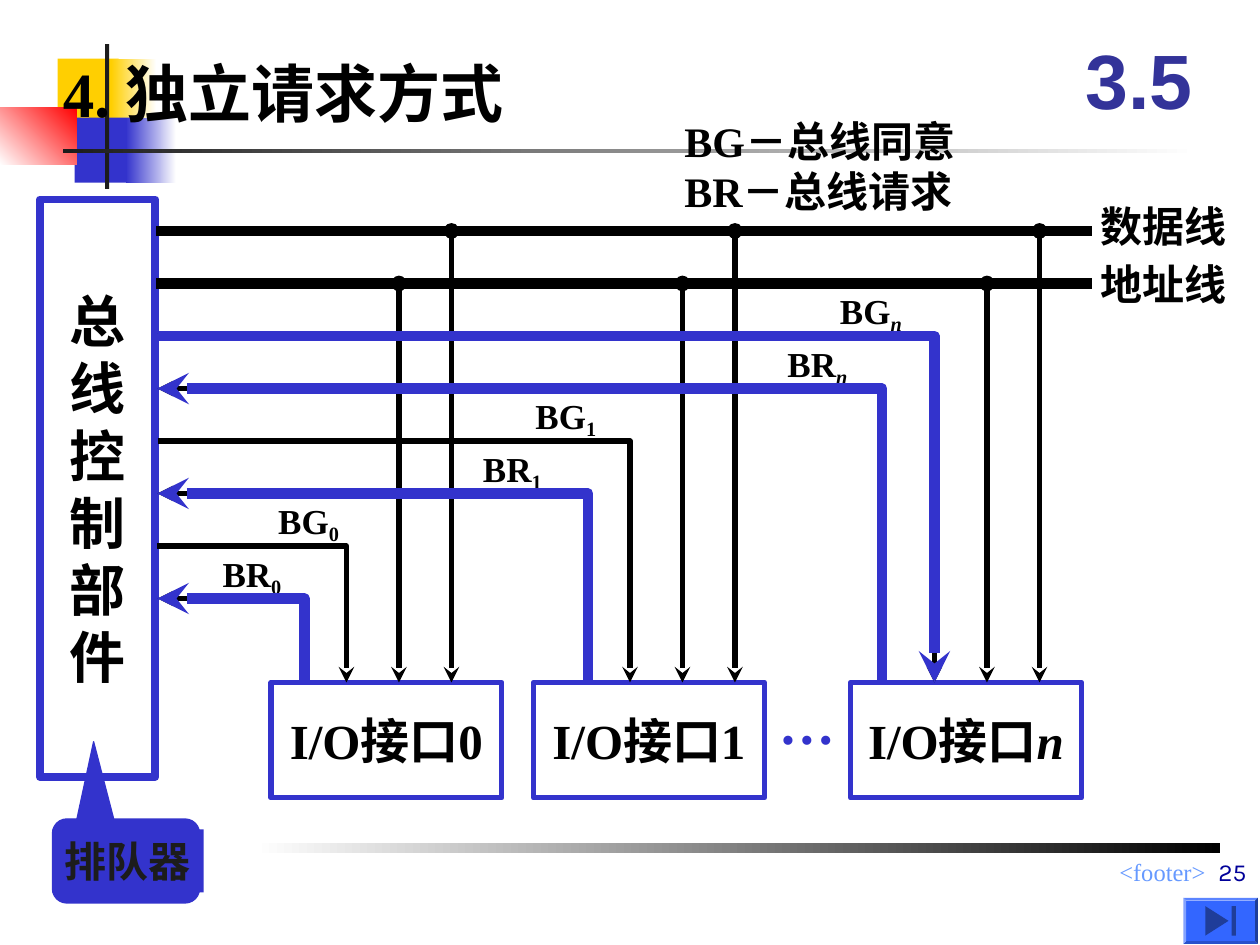
"""Build the slide on independent-request bus arbitration."""
from dataclasses import dataclass
from typing import Optional

import pptx
import pptx.dml.color
import pptx.enum.shapes
import pptx.enum.text
import pptx.oxml.ns
import pptx.util
from lxml import etree

EMU_PER_PX = 7620
COLOURS = {
    "black": "000000", "white": "FFFFFF", "ink": "1C1C1C", "blue": "3333CC",
    "yellow": "FFCF01", "red": "FF0000", "section": "333399", "footer": "6699FF",
    "number": "000099", "button": "3366FF", "icon": "1F3D99",
}
KIND = pptx.enum.shapes.MSO_SHAPE
ALIGN = pptx.enum.text.PP_ALIGN
ANCHOR = pptx.enum.text.MSO_ANCHOR
SERIF = {"name": "Times New Roman", "bold": True}
INSET = {"margin_left": 12, "margin_right": 12, "margin_top": 6, "margin_bottom": 6}
FLUSH = dict.fromkeys(INSET, 0)
ROW_GAP = COLUMN_GAP = 50
DATA_Y, ADDRESS_Y = 220, 270
CONTROL_EDGE, BUS_END, INTERFACE_TOP = 150, 1040, 650


@dataclass(frozen=True)
class Box:
    left: int
    top: int
    width: int
    height: int


@dataclass(frozen=True)
class Panel:
    box: Box
    fill: Optional[str] = None
    fade: Optional[str] = None
    angle: int = 180
    line: Optional[str] = None
    weight: float = 0.75
    kind: int = KIND.RECTANGLE
    adjustments: tuple = ()


@dataclass(frozen=True)
class Caption:
    box: Box
    lines: tuple
    size: int
    colour: str = "black"
    font: str = "Times New Roman"
    bold: bool = True
    align: int = ALIGN.LEFT
    anchor: int = ANCHOR.TOP
    wrap: bool = True


@dataclass(frozen=True)
class Interface:
    index: str
    left: int
    request_x: int
    grant_x: int
    grant_y: int
    request_label_x: int
    grant_label_x: int


DECORATION = (
    Panel(Box(55, 56, 58, 62), "yellow"),
    Panel(Box(106, 56, 43, 62), "white", "yellow"),
    Panel(Box(71, 112, 55, 62), "blue"),
    Panel(Box(120, 112, 48, 62), "white", "blue"),
    Panel(Box(0, 102, 73, 55), "red", "white", angle=225),
    Panel(Box(100, 42, 4, 138), "ink"),
    Panel(Box(60, 142, 1080, 4), "white", "ink"),
    Panel(Box(242, 803, 920, 9), "black", "white"),
    Panel(Box(50, 780, 140, 80), "blue", line="blue",
          kind=KIND.ROUNDED_RECTANGULAR_CALLOUT, adjustments=(-0.22, -1.42, 0.17)),
    Panel(Box(50, 790, 144, 60), "blue"),
    Panel(Box(1127, 855, 71, 44), "button", kind=KIND.BEVEL, adjustments=(0.06,)),
    Panel(Box(1173, 863, 4, 28), "icon"),
)
CAPTIONS = (
    Caption(Box(470, 810, 690, 31), ("<footer>",), 14, "footer", bold=False, align=ALIGN.RIGHT),
    Caption(Box(625, 790, 574, 60), ("25",), 14, "number", "Karla", False,
            ALIGN.RIGHT, ANCHOR.BOTTOM),
    Caption(Box(50, 790, 144, 60), ("排队器",), 24, "ink", wrap=False),
    Caption(Box(48, 46, 552, 84), ("4. 独立请求方式",), 36),
    Caption(Box(1010, 20, 150, 110), ("3.5",), 44, "section", "Arial",
            align=ALIGN.CENTER, anchor=ANCHOR.MIDDLE),
    Caption(Box(1036, 185, 144, 60), ("数据线",), 24, wrap=False),
    Caption(Box(1036, 240, 144, 60), ("地址线",), 24, wrap=False),
    Caption(Box(730, 650, 77, 77), ("…",), 32, "blue", wrap=False),
    Caption(Box(640, 104, 310, 110), ("BG－总线同意", "BR－总线请求"), 24),
)
CONTROL = Caption(Box(38, 190, 110, 550), tuple("总线控制部件"), 32,
                  align=ALIGN.CENTER, anchor=ANCHOR.MIDDLE, wrap=False)
INTERFACES = (
    Interface("0", 258, 290, 330, 520, 212, 265),
    Interface("1", 508, 560, 600, 420, 460, 510),
    Interface("n", 810, 840, 890, 320, 750, 800),
)


def px(length: int) -> int:
    return pptx.util.Emu(length * EMU_PER_PX)


def rgb(colour: str):
    return pptx.dml.color.RGBColor.from_string(COLOURS[colour])


def place(box: Box) -> tuple:
    return px(box.left), px(box.top), px(box.width), px(box.height)


def apply(target, values: dict) -> None:
    for name, value in values.items():
        setattr(target, name, value)


def stroke(shape, colour: str, weight: float, **ends: str) -> None:
    shape.line.color.rgb = rgb(colour)
    shape.line.width = pptx.util.Pt(weight)
    outline = shape.line._get_or_add_ln()
    for end in ("headEnd", "tailEnd"):
        if end in ends:
            etree.SubElement(outline, pptx.oxml.ns.qn(f"a:{end}"), type=ends[end])


def draw_panel(slide, panel: Panel):
    shape = slide.shapes.add_shape(panel.kind, *place(panel.box))
    shape.shadow.inherit = False
    for position, value in enumerate(panel.adjustments):
        shape.adjustments[position] = value
    if panel.fade:
        shape.fill.gradient()
        shape.fill.gradient_angle = panel.angle
        for stop, colour in zip(shape.fill.gradient_stops, (panel.fill, panel.fade)):
            stop.color.rgb = rgb(colour)
    elif panel.fill:
        shape.fill.solid()
        shape.fill.fore_color.rgb = rgb(panel.fill)
    else:
        shape.fill.background()
    if panel.line:
        stroke(shape, panel.line, panel.weight)
    else:
        shape.line.fill.background()
    return shape


def add_run(paragraph, text: str, size: int, colour: str, **style):
    run = paragraph.add_run()
    run.text = text
    apply(run.font, {**SERIF, **style, "size": pptx.util.Pt(size)})
    run.font.color.rgb = rgb(colour)
    return run


def write(shape, caption: Caption) -> None:
    frame = shape.text_frame
    apply(frame, {name: px(value) for name, value in INSET.items()})
    apply(frame, {"word_wrap": caption.wrap, "vertical_anchor": caption.anchor})
    for position, line in enumerate(caption.lines):
        paragraph = frame.add_paragraph() if position else frame.paragraphs[0]
        paragraph.alignment = caption.align
        add_run(paragraph, line, caption.size, caption.colour,
                name=caption.font, bold=caption.bold)


def draw_line(slide, start: tuple, end: tuple, weight: float, **ends: str) -> None:
    line = slide.shapes.add_connector(pptx.enum.shapes.MSO_CONNECTOR.STRAIGHT,
                                      *map(px, start + end))
    stroke(line, "black", weight, **ends)
    etree.SubElement(line._element.spPr, pptx.oxml.ns.qn("a:effectLst"))


def draw_route(slide, x: int, y: int, colour: str, weight: float, arrow: str) -> None:
    builder = slide.shapes.build_freeform(CONTROL_EDGE, y, scale=EMU_PER_PX)
    builder.add_line_segments([(x, y), (x, INTERFACE_TOP)], close=False)
    route = builder.convert_to_shape()
    route.shadow.inherit = False
    route.fill.background()
    stroke(route, colour, weight, **{arrow: "stealth"})


def draw_signal(slide, prefix: str, index: str, left: int, route_y: int) -> None:
    frame = slide.shapes.add_textbox(*place(Box(left, route_y - 44, 110, 44))).text_frame
    apply(frame, {**FLUSH, "word_wrap": True})
    add_run(frame.paragraphs[0], prefix, 20, "black")
    subscript = add_run(frame.paragraphs[0], index, 20, "black", italic=index == "n")
    subscript._r.get_or_add_rPr().set("baseline", "-20000")


def draw_interface(slide, unit: Interface) -> None:
    request_y = unit.grant_y + ROW_GAP
    box = Box(unit.left, INTERFACE_TOP, 220, 110)
    frame = draw_panel(slide, Panel(box, line="blue", weight=3))
    write(frame, Caption(box, ("I/O接口",), 28, align=ALIGN.CENTER,
                         anchor=ANCHOR.MIDDLE, wrap=False))
    add_run(frame.text_frame.paragraphs[0], unit.index, 28, "black", italic=unit.index == "n")
    draw_route(slide, unit.request_x, request_y, "black", 3, "headEnd")
    draw_route(slide, unit.grant_x, unit.grant_y, "black", 3, "tailEnd")
    draw_signal(slide, "BR", unit.index, unit.request_label_x, request_y)
    draw_signal(slide, "BG", unit.index, unit.grant_label_x, unit.grant_y)
    for column, bus_y in enumerate((ADDRESS_Y, DATA_Y), start=1):
        x = unit.grant_x + column * COLUMN_GAP
        draw_line(slide, (x, bus_y), (x, INTERFACE_TOP), 3, headEnd="oval", tailEnd="stealth")


def main() -> None:
    deck = pptx.Presentation()
    apply(deck, {"slide_width": px(1200), "slide_height": px(900)})
    slide = deck.slides.add_slide(deck.slide_layouts[6])
    for panel in DECORATION:
        draw_panel(slide, panel)
    play = draw_panel(slide, Panel(Box(1145, 866, 28, 22), "icon", kind=KIND.ISOSCELES_TRIANGLE))
    play.rotation = 90
    write(draw_panel(slide, Panel(CONTROL.box, line="blue", weight=4.5)), CONTROL)
    for bus_y in (DATA_Y, ADDRESS_Y):
        draw_line(slide, (149, bus_y), (BUS_END, bus_y), 6)
    for unit in INTERFACES:
        draw_interface(slide, unit)
    for caption in CAPTIONS:
        write(slide.shapes.add_textbox(*place(caption.box)), caption)
    for unit in INTERFACES:
        draw_route(slide, unit.request_x, unit.grant_y + ROW_GAP, "blue", 6, "headEnd")
    draw_route(slide, INTERFACES[-1].grant_x, INTERFACES[-1].grant_y, "blue", 6, "tailEnd")
    deck.save("out.pptx")


if __name__ == "__main__":
    main()
